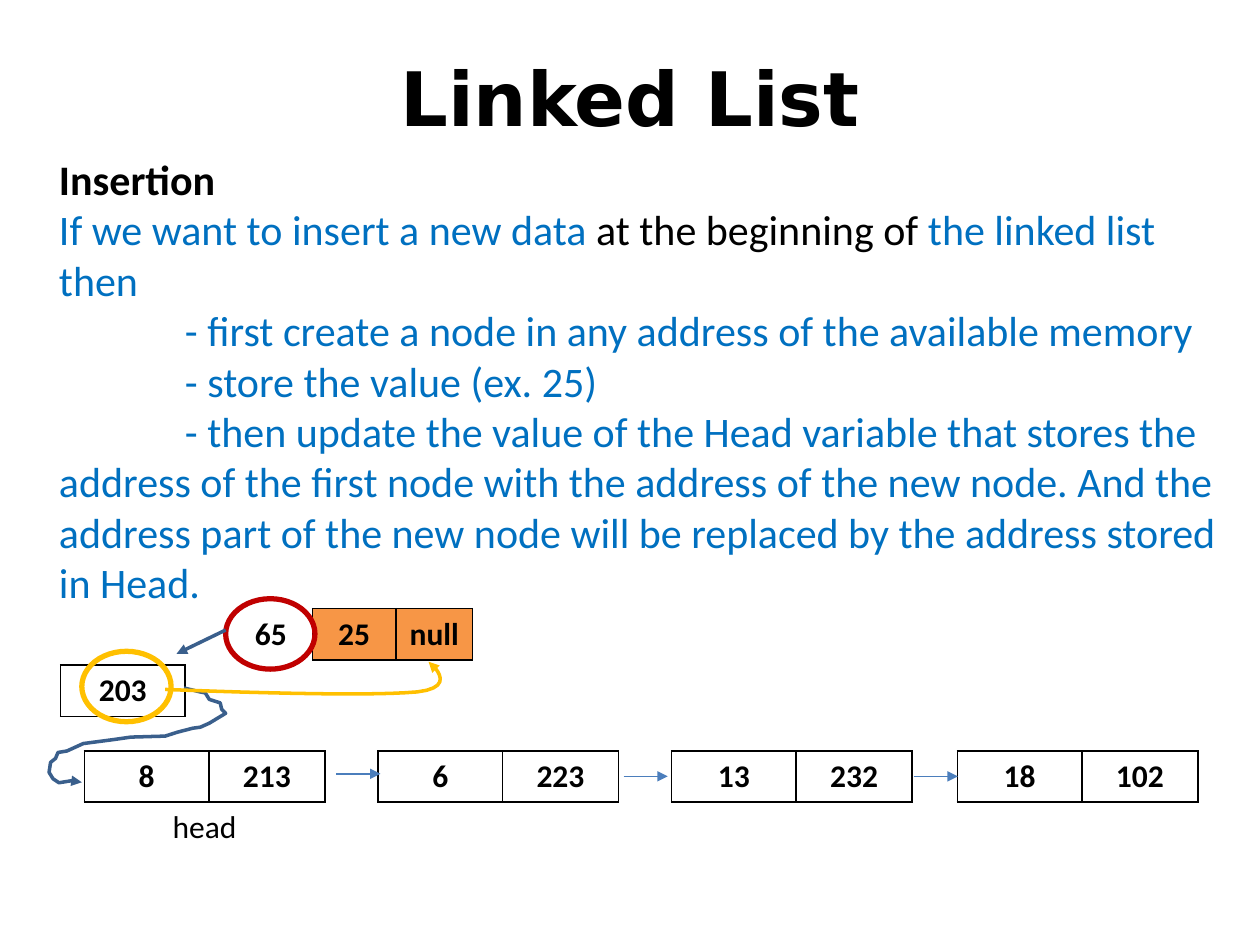
from collections import namedtuple
from dataclasses import dataclass

from lxml import etree
from pptx import Presentation
from pptx import util as u
from pptx.dml.color import RGBColor
from pptx.enum import shapes, text
from pptx.oxml import ns

Box = namedtuple("Box", "left top width height")


@dataclass(frozen=True)
class Theme:
    """Colours, fonts and type sizes of the deck."""
    ink: str = "000000"
    blue: str = "0070C0"
    link: str = "4B7EBC"
    trail: str = "3A5F8C"
    red: str = "C00000"
    gold: str = "FFC000"
    orange: str = "F79646"
    title_font: str = "DejaVu Sans"
    body_font: str = "Calibri"
    title_size: float = 42.9
    body_size: int = 24
    cell_size: int = 18


THEME = Theme()
ROW = 1.03
CELLS = (2.51, 2.34)
SQUIGGLE = [
    (2.72, 0), (3.05, 0.08), (3.15, 0.1), (3.23, 0.23), (3.45, 0.3), (3.48, 0.43),
    (3.56, 0.51), (3.23, 0.71), (3.05, 0.79), (2.9, 0.81), (2.59, 0.89), (2.34, 0.97),
    (1.65, 0.99), (1.3, 1.04), (0.69, 1.12), (0.36, 1.27), (0.18, 1.3), (0.13, 1.42),
    (0.03, 1.5), (0, 1.7), (0.08, 1.83), (0.2, 1.91), (0.45, 1.87), (0.66, 1.9),
]
SWOOP = [
    ((0, 0.56), (2.08, 0.64), (4.19, 0.69), (5.08, 0.61)),
    ((5.08, 0.61), (5.97, 0.51), (5.31, 0), (5.31, 0)),
]


def lengths(*values):
    """Turn centimetres into slide lengths."""
    return [u.Cm(value) for value in values]


def add_span(para, words, size, font=THEME.body_font, color=THEME.ink, bold=False):
    """Add one formatted run to a paragraph."""
    span = para.add_run()
    span.text = words
    span.font.size = u.Pt(size)
    span.font.name = font
    span.font.bold = bold
    span.font.color.rgb = RGBColor.from_string(color)


def style_line(shape, color, width, arrow=False):
    """Colour a line, remove its shadow and optionally end it with an arrowhead."""
    shape.line.color.rgb = RGBColor.from_string(color)
    shape.line.width = u.Pt(width)
    if arrow:
        etree.SubElement(shape.line._get_or_add_ln(), ns.qn("a:tailEnd"), type="triangle")


def add_title(page, box):
    """Place the centred slide title."""
    frame = page.shapes.add_textbox(*lengths(*box)).text_frame
    frame.word_wrap = True
    frame.margin_top = u.Cm(0.28)
    para = frame.paragraphs[0]
    para.alignment = text.PP_ALIGN.CENTER
    add_span(para, "Linked List", THEME.title_size, THEME.title_font, bold=True)


def add_body(page, box):
    """Place the explanation, with the steps indented on their first line."""
    steps = [
        "- first create a node in any address of the available memory",
        "- store the value (ex. 25)",
        "- then update the value of the Head variable that stores the address of the "
        "first node with the address of the new node. And the address part of the new "
        "node will be replaced by the address stored in Head.",
    ]
    lines = [
        (0, [("Insertion", THEME.ink, True)]),
        (0, [("If we want to insert a new data ", THEME.blue, False),
             ("at the beginning of ", THEME.ink, False),
             ("the linked list then", THEME.blue, False)]),
    ] + [(2.54, [(step, THEME.blue, False)]) for step in steps]
    frame = page.shapes.add_textbox(*lengths(*box)).text_frame
    frame.word_wrap = True
    frame.margin_left = frame.margin_right = 0
    for index, (indent, spans) in enumerate(lines):
        para = frame.add_paragraph() if index else frame.paragraphs[0]
        properties = para._p.get_or_add_pPr()
        properties.set("marL", str(u.Cm(0.66)))
        properties.set("indent", str(u.Cm(indent)))
        for words, color, bold in spans:
            add_span(para, words, THEME.body_size, color=color, bold=bold)


def set_borders(cell, sides):
    """Draw the named sides of a cell and hide the others."""
    properties = cell._tc.get_or_add_tcPr()
    for side in "LRTB":
        line = etree.SubElement(properties, ns.qn(f"a:ln{side}"), w=str(u.Pt(1)))
        if side in sides:
            fill = etree.SubElement(line, ns.qn("a:solidFill"))
            etree.SubElement(fill, ns.qn("a:srgbClr"), val=THEME.ink)
        else:
            etree.SubElement(line, ns.qn("a:noFill"))


def fill_cell(cell, words, sides="LRTB", fill=None, bold=True):
    """Give a cell its borders, fill and centred text."""
    set_borders(cell, sides)
    if fill:
        cell.fill.solid()
        cell.fill.fore_color.rgb = RGBColor.from_string(fill)
    else:
        cell.fill.background()
    cell.vertical_anchor = text.MSO_ANCHOR.MIDDLE
    para = cell.text_frame.paragraphs[0]
    para.alignment = text.PP_ALIGN.CENTER
    if words:
        add_span(para, words, THEME.cell_size, bold=bold)


def add_node(page, left, top, widths, entries, caption=None):
    """Place a list node as a table row, with an optional caption row below."""
    rows = 2 if caption else 1
    box = Box(left, top, sum(widths), rows * ROW)
    table = page.shapes.add_table(rows, len(widths), *lengths(*box)).table
    table.first_row = table.horz_banding = False
    for column, width in zip(table.columns, widths):
        column.width = u.Cm(width)
    for row in table.rows:
        row.height = u.Cm(ROW)
    for index, entry in enumerate(entries):
        fill_cell(table.cell(0, index), **entry)
    if caption:
        last = len(widths) - 1
        for index in range(len(widths)):
            fill_cell(table.cell(1, index), "" if index else caption, "T", bold=False)
        table.cell(1, 0).merge(table.cell(1, last))


def add_arrow(page, start, end, color, width):
    """Draw a straight arrow between two points."""
    arrow = page.shapes.add_connector(shapes.MSO_CONNECTOR.STRAIGHT, *lengths(*start, *end))
    style_line(arrow, color, width, arrow=True)
    etree.SubElement(arrow._element.spPr, ns.qn("a:effectLst"))


def add_ring(page, box, color):
    """Circle a value with an unfilled ellipse."""
    ring = page.shapes.add_shape(shapes.MSO_SHAPE.OVAL, *lengths(*box))
    ring.shadow.inherit = False
    ring.fill.background()
    style_line(ring, color, 3)


def sample_curves(curves, steps=12):
    """Return points along a chain of cubic curves."""
    points = [curves[0][0]]
    for curve in curves:
        for step in range(1, steps + 1):
            t = step / steps
            weights = ((1 - t) ** 3, 3 * t * (1 - t) ** 2, 3 * t * t * (1 - t), t ** 3)
            points.append(tuple(sum(w * p[axis] for w, p in zip(weights, curve))
                                for axis in (0, 1)))
    return points


def add_trail(page, left, top, points, color):
    """Draw an open bent arrow through points relative to its corner."""
    places = [lengths(left + x, top + y) for x, y in points]
    builder = page.shapes.build_freeform(*places[0])
    builder.add_line_segments(places[1:], close=False)
    trail = builder.convert_to_shape()
    trail.shadow.inherit = False
    trail.fill.background()
    style_line(trail, color, 2, arrow=True)


def add_diagram(page, box):
    """Place the new node, the head variable and the chain of nodes."""
    left, top = box.left, box.top
    chain = [(0.71, "8", "213", "head"), (6.63, "6", "223", None),
             (12.55, "13", "232", None), (18.31, "18", "102", None)]
    for x, value, address, caption in chain:
        entries = [{"words": value}, {"words": address}]
        add_node(page, left + x, top + 3.07, CELLS, entries, caption)
    for x, y in ((5.79, 3.53), (11.58, 3.58), (17.43, 3.58)):
        add_arrow(page, (left + x, top + y), (left + x + 0.89, top + y), THEME.link, 0.75)
    add_node(page, left + 0.23, top + 1.34, CELLS[:1], [{"words": "203"}])
    add_trail(page, left, top + 1.8, SQUIGGLE, THEME.trail)
    add_node(page, left + 3.63, top + 0.2, (1.68, 1.68, 1.55),
             [{"words": "65", "sides": "R"}, {"words": "25", "fill": THEME.orange},
              {"words": "null", "fill": THEME.orange}])
    add_ring(page, Box(left + 3.56, top, 1.8, 1.42), THEME.red)
    add_ring(page, Box(left + 0.66, top + 1.06, 1.8, 1.42), THEME.gold)
    add_arrow(page, (left + 3.56, top + 0.63), (left + 2.57, top + 1.11), THEME.trail, 2)
    add_trail(page, left + 2.34, top + 1.27, sample_curves(SWOOP), THEME.gold)


def main():
    """Build and save the deck."""
    deck = Presentation()
    deck.slide_width, deck.slide_height = lengths(25.4, 19.05)
    page = deck.slides.add_slide(deck.slide_layouts[6])
    add_title(page, Box(1.27, 0.76, 22.86, 3.18))
    add_body(page, Box(0.53, 2.97, 24.33, 10.52))
    add_diagram(page, Box(0.99, 12.07, 23.17, 5.13))
    deck.save("out.pptx")


if __name__ == "__main__":
    main()
